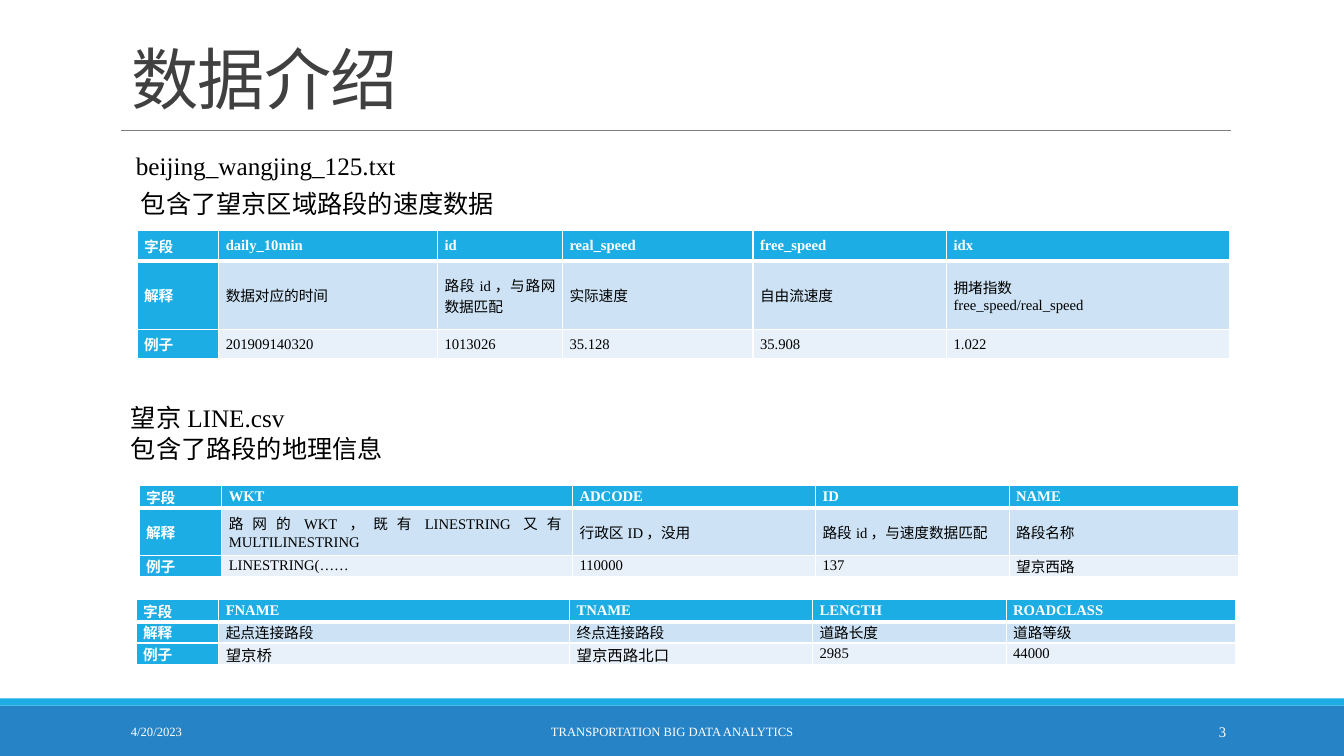
from lxml.etree import SubElement
from pptx import Presentation
from pptx.dml.color import RGBColor
from pptx.enum.shapes import MSO_CONNECTOR, MSO_SHAPE
from pptx.enum.text import MSO_ANCHOR as Anchor, PP_ALIGN as Align
from pptx.oxml.ns import qn
from pptx.util import Inches, Pt

WHITE = RGBColor(0xFF, 0xFF, 0xFF)
BLACK = RGBColor(0, 0, 0)
DARK = RGBColor(0x40, 0x40, 0x40)
GRAY = RGBColor(0x80, 0x80, 0x80)
BLUE = RGBColor(0x26, 0x83, 0xC6)
CYAN = RGBColor(0x1C, 0xAD, 0xE4)
PALE = RGBColor(0xCD, 0xE3, 0xF5)
LIGHT = RGBColor(0xE8, 0xF1, 0xFA)
LATIN, HAN = "Times New Roman", "Noto Sans CJK SC"

TITLE = "数据介绍"
BANDS = [((0, 7, 13.33, 0.5), BLUE), ((0, 6.93, 13.33, 0.07), CYAN)]
FOOTER = [  # text, box, size, alignment
    ("4/20/2023", (1.2, 7.06, 2.7, 0.4), 9, Align.LEFT),
    ("TRANSPORTATION BIG DATA ANALYTICS", (4.03, 7.06, 5.27, 0.4), 9, Align.CENTER),
    ("3", (10.83, 7.06, 1.43, 0.4), 10.5, Align.RIGHT),
]
NOTES = [  # text, box, anchor, wrap
    ("beijing_wangjing_125.txt", (1.25, 1.44, 6.67, 0.4), Anchor.TOP, True),
    ("包含了望京区域路段的速度数据", (1.3, 1.82, 6.67, 0.4), Anchor.TOP, True),
    ("望京LINE.csv\n包含了路段的地理信息", (1.2, 3.94, 2.73, 0.71), Anchor.MIDDLE, False),
]
HEADS = ["字段", "解释", "例子"]
SPEED_COLS = [0.81, 2.17, 1.24, 1.89, 1.92, 2.81]
ROAD_COLS = [0.82, 3.48, 2.41, 1.92, 2.28]
TABLES = [  # left, top, column widths, row heights, (field, meaning, example)
    (1.36, 2.29, SPEED_COLS, [0.3, 0.68, 0.29], [
        ("daily_10min", "数据对应的时间", "201909140320"),
        ("id", "路段id，与路网数据匹配", "1013026"),
        ("real_speed", "实际速度", "35.128"),
        ("free_speed", "自由流速度", "35.908"),
        ("idx", "拥堵指数\nfree_speed/real_speed", "1.022"),
    ]),
    (1.38, 4.82, ROAD_COLS, [0.22, 0.47, 0.21], [
        ("WKT", "路网的WKT，既有LINESTRING又有MULTILINESTRING", "LINESTRING(……"),
        ("ADCODE", "行政区ID，没用", "110000"),
        ("ID", "路段id，与速度数据匹配", "137"),
        ("NAME", "路段名称", "望京西路"),
    ]),
    (1.35, 5.95, ROAD_COLS, [0.22, 0.21, 0.21], [
        ("FNAME", "起点连接路段", "望京桥"),
        ("TNAME", "终点连接路段", "望京西路北口"),
        ("LENGTH", "道路长度", "2985"),
        ("ROADCLASS", "道路等级", "44000"),
    ]),
]
LARGE = {"望京桥", "望京西路北口"}  # examples set at 11 points


def write(frame, text, size=18, color=BLACK, bold=False, align=Align.LEFT):
    for i, line in enumerate(text.split("\n")):
        para = frame.add_paragraph() if i else frame.paragraphs[0]
        para.alignment = align
        run = para.add_run()
        run.text = line
        font = run.font
        font.size, font.bold, font.name = Pt(size), bold, LATIN
        font.color.rgb = color
        SubElement(run._r.get_or_add_rPr(), qn("a:ea"), typeface=HAN)


def add_text(slide, text, box, anchor=Anchor.MIDDLE, wrap=True, **style):
    frame = slide.shapes.add_textbox(*map(Inches, box)).text_frame
    frame.word_wrap, frame.vertical_anchor = wrap, anchor
    write(frame, text, **style)


def add_edges(cell, row):
    """Draw white cell borders, thick between the header row and the next."""
    props = cell._tc.get_or_add_tcPr()
    thick = {"T": row == 1, "B": row == 0}
    for side in "LRTB":
        width = Pt(3 if thick.get(side) else 1)
        line = SubElement(props, qn("a:ln" + side), w=str(width))
        fill = SubElement(line, qn("a:solidFill"))
        SubElement(fill, qn("a:srgbClr"), val=str(WHITE))


def add_grid(slide, left, top, widths, heights, fields):
    box = map(Inches, (left, top, sum(widths), sum(heights)))
    table = slide.shapes.add_table(len(heights), len(widths), *box).table
    for col, width in zip(table.columns, widths):
        col.width = Inches(width)
    for row, height in zip(table.rows, heights):
        row.height = Inches(height)
    for c, column in enumerate([HEADS, *fields]):
        for r, text in enumerate(column):
            cell = table.cell(r, c)
            head = r == 0 or c == 0
            cell.margin_left = cell.margin_right = Inches(0.07)
            cell.margin_top = cell.margin_bottom = 0
            cell.vertical_anchor = Anchor.MIDDLE
            add_edges(cell, r)
            cell.fill.solid()
            cell.fill.fore_color.rgb = CYAN if head else (PALE if r == 1 else LIGHT)
            write(cell.text_frame, text, size=11 if text in LARGE else 10.5,
                  color=WHITE if head else BLACK, bold=head, align=Align.JUSTIFY)


def main():
    deck = Presentation()
    deck.slide_width, deck.slide_height = Inches(13.33), Inches(7.5)
    slide = deck.slides.add_slide(deck.slide_layouts[5])
    shapes = slide.shapes

    for box, color in BANDS:
        band = shapes.add_shape(MSO_SHAPE.RECTANGLE, *map(Inches, box))
        band.shadow.inherit = False
        band.fill.solid()
        band.fill.fore_color.rgb = color
        band.line.fill.background()
    ends = map(Inches, (1.2, 1.29, 12.21, 1.29))
    rule = shapes.add_connector(MSO_CONNECTOR.STRAIGHT, *ends)
    rule.line.color.rgb, rule.line.width = GRAY, Pt(0.5)
    SubElement(rule._element.spPr, qn("a:effectLst"))

    title = shapes.title
    title.left, title.top, title.width, title.height = map(Inches, (1.2, 0.13, 11, 1.09))
    frame = title.text_frame
    frame.vertical_anchor = Anchor.BOTTOM
    write(frame, TITLE, size=48, color=DARK)
    frame.paragraphs[0].line_spacing = 0.85
    frame.paragraphs[0].runs[0].font._element.set("spc", "-50")

    for text, box, size, align in FOOTER:
        add_text(slide, text, box, size=size, color=WHITE, align=align)
    for text, box, anchor, wrap in NOTES:
        add_text(slide, text, box, anchor, wrap)
    for grid in TABLES:
        add_grid(slide, *grid)
    deck.save("out.pptx")


if __name__ == "__main__":
    main()
